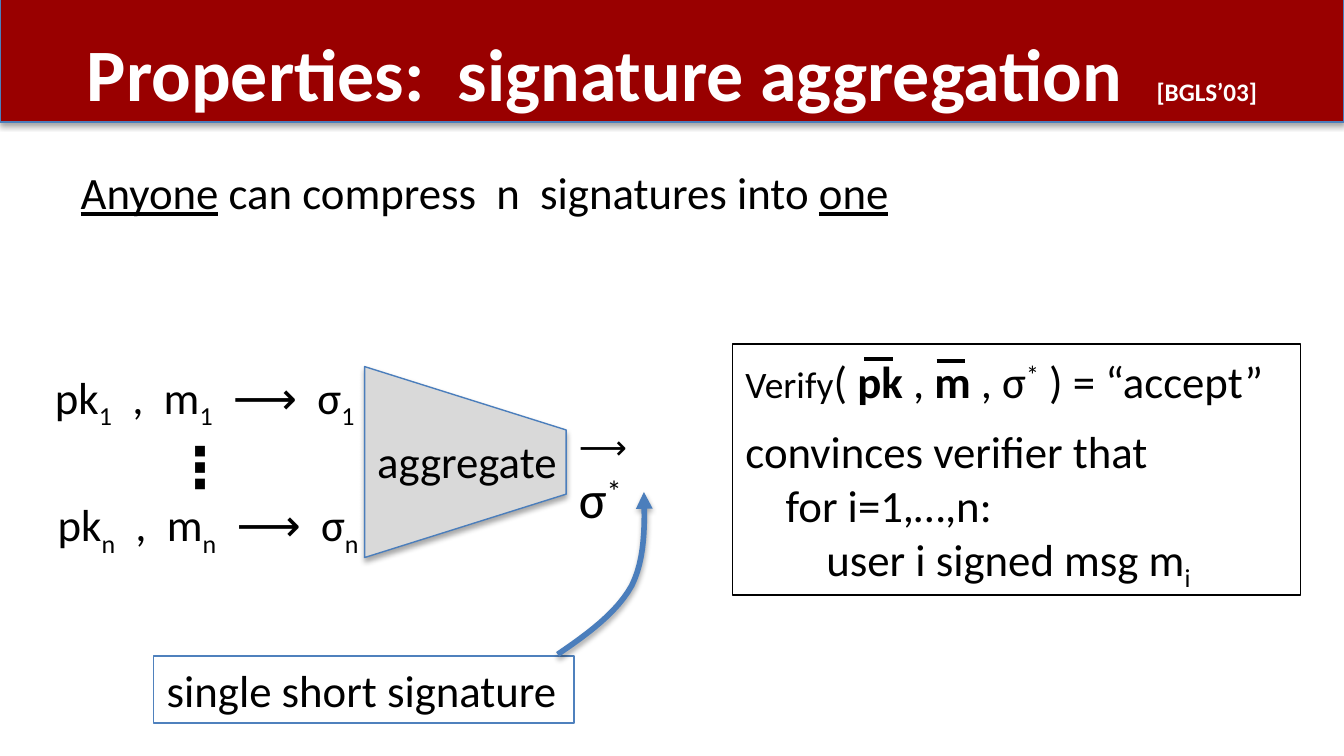
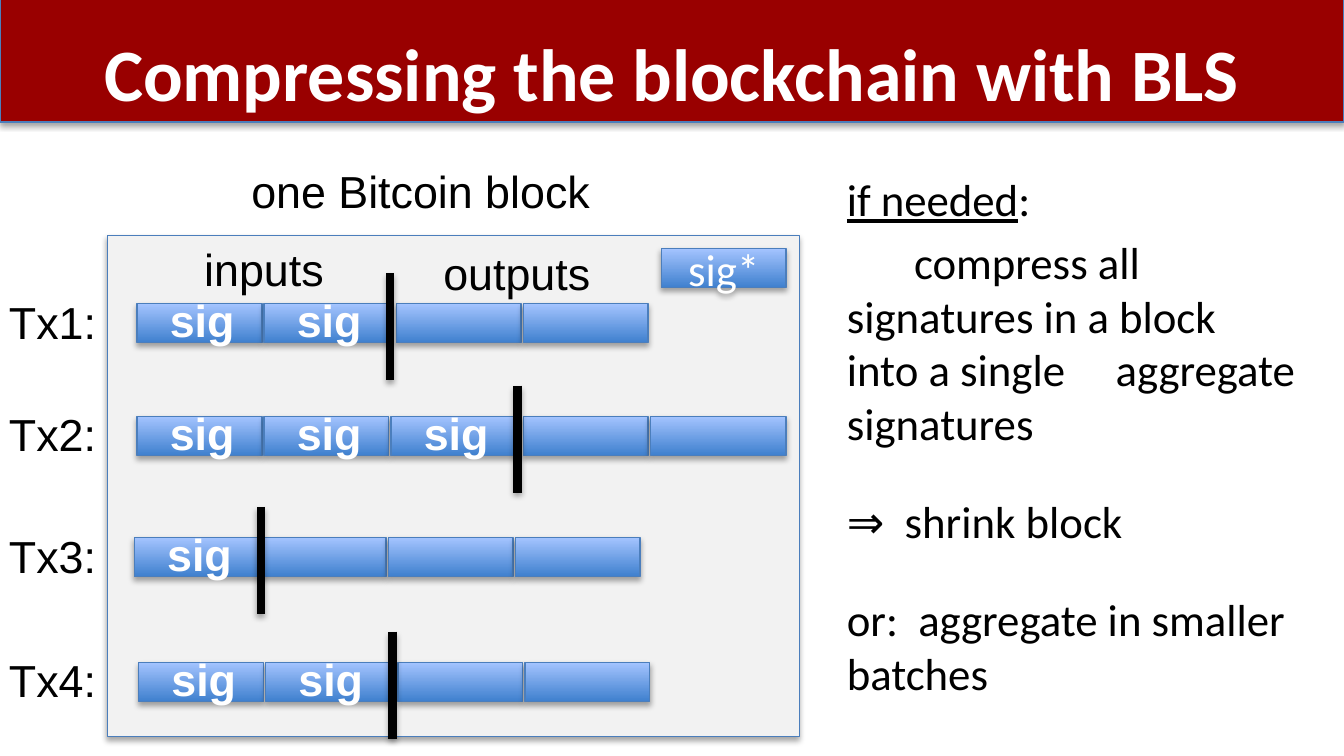
"""Build two slides on signature aggregation and blockchain compression."""
from lxml.etree import SubElement
from pptx import Presentation
from pptx.dml.color import RGBColor
from pptx.enum.shapes import MSO_CONNECTOR, MSO_SHAPE
from pptx.enum.text import MSO_ANCHOR, MSO_AUTO_SIZE as FIT, PP_ALIGN as ALIGN
from pptx.oxml.ns import qn
from pptx.util import Cm, Pt

COLORS = {
    "band": "990000", "edge": "4B7EBC", "note": "4F81BD", "funnel": "D9D9D9",
    "block": "F2F2F2", "cell_low": "3F80CE", "cell_high": "A4C4FF",
    "black": "000000", "white": "FFFFFF",
}
RGB = {name: RGBColor.from_string(value) for name, value in COLORS.items()}
PLAIN, BOLD, LINED = {}, {"bold": True}, {"underline": True}
SUB, SUPER = {"baseline": -25}, {"baseline": 30}


def write(frame, rows, size=24, face="Calibri", ink="black", wrap=False,
          align=ALIGN.LEFT, anchor=MSO_ANCHOR.TOP):
    frame.word_wrap = wrap
    frame.auto_size = FIT.NONE
    frame.vertical_anchor = anchor
    for number, (before, indent, spans) in enumerate(rows):
        para = frame.add_paragraph() if number else frame.paragraphs[0]
        layout = para._p.get_or_add_pPr()
        layout.set("marL", str(Cm(indent)))
        layout.set("indent", "0")
        SubElement(layout, qn("a:buNone"))
        para.alignment = align
        para.space_before = Pt(before)
        for text, style in spans:
            span = para.add_run()
            span.text = text
            span.font.name = style.get("face", face)
            span.font.size = Pt(style.get("size", size))
            span.font.bold = style.get("bold", False)
            span.font.underline = style.get("underline", False)
            span.font.color.rgb = RGB[ink]
            if "baseline" in style:
                span._r.get_or_add_rPr().set("baseline", str(style["baseline"] * 1000))


def finish(item, line="edge", points=0.75, fill=None, shadow=True):
    if fill == "cell":
        item.fill.gradient()
        item.fill.gradient_angle = 90
        for stop, name in zip(item.fill.gradient_stops, ("cell_low", "cell_high")):
            stop.color.rgb = RGB[name]
    elif fill == "none":
        item.fill.background()
    elif fill:
        item.fill.solid()
        item.fill.fore_color.rgb = RGB[fill]
    item.line.color.rgb = RGB[line]
    item.line.width = Pt(points)
    effects = SubElement(item.element.spPr, qn("a:effectLst"))
    if shadow:
        outer = SubElement(effects, qn("a:outerShdw"), blurRad=str(Pt(3.1)),
                           dist=str(Pt(1.8)), dir="5400000", rotWithShape="0")
        color = SubElement(outer, qn("a:srgbClr"), val=COLORS["black"])
        SubElement(color, qn("a:alpha"), val="35000")


deck = Presentation()
deck.slide_width, deck.slide_height = Cm(25.4), Cm(14.29)
master_layout = deck.slide_layouts[1]

contents = [
    ([("Properties:  signature aggregation  ", BOLD),
      ("[BGLS’03]", {"bold": True, "size": 13.5})],
     (1.27, 2.77, 18.26, 1.7), MSO_ANCHOR.MIDDLE,
     [(0, 0, [("Anyone", LINED), (" can compress  n  signatures into ", PLAIN),
              ("one", LINED)])]),
    ([("Compressing the blockchain with BLS", BOLD)],
     (15.75, 3.12, 9.35, 10.44), MSO_ANCHOR.TOP,
     [(0, 0, [("if needed", LINED), (":", PLAIN)]),
      (4.8, 0, [("\tcompress all \tsignatures in a block \tinto a single "
                 "\taggregate signatures", PLAIN)]),
      (23.8, 0, [("⇒  shrink block", PLAIN)]),
      (23.8, 0, [("or:  aggregate in smaller batches", PLAIN)])]),
]
pages = []
for heading, place, anchor, rows in contents:
    page = deck.slides.add_slide(master_layout)
    pages.append(page)
    title, body = page.placeholders
    title.left, title.top, title.width, title.height = Cm(1.27), Cm(0.4), Cm(22.86), Cm(1.73)
    write(title.text_frame, [(0, 0, heading)], 39.6, ink="white", align=ALIGN.CENTER)
    body.left, body.top, body.width, body.height = map(Cm, place)
    write(body.text_frame, rows, wrap=True, anchor=anchor)
aggregation, blockchain = pages

band = aggregation.shapes.add_shape(MSO_SHAPE.RECTANGLE, 0, Cm(-0.03), Cm(25.4), Cm(2.34))
finish(band, fill="band")
master_layout.shapes.element.insert(2, band.element)

funnel = aggregation.shapes.add_shape(
    MSO_SHAPE.TRAPEZOID, Cm(6.99), Cm(6.83), Cm(3.61), Cm(3.81))
funnel.rotation = 90
funnel.adjustments[0] = 0.332
finish(funnel, fill="funnel")

verify = aggregation.shapes.add_shape(
    MSO_SHAPE.RECTANGLE, Cm(13.84), Cm(6.5), Cm(10.74), Cm(4.75))
finish(verify, "black", fill="none", shadow=False)
verify.text_frame.margin_top = Cm(0.18)
write(verify.text_frame, [
    (0, 0, [("Verify", {"size": 20}), ("( ", PLAIN), ("pk", BOLD), (" , ", PLAIN),
            ("m", BOLD), (" , σ", PLAIN), ("*", SUPER), (" ) = “accept”", PLAIN)]),
    (9, 0, [("convinces verifier that", PLAIN)]),
    (0, 0.76, [("for i=1,…,n:", PLAIN)]),
    (0, 1.53, [("user i signed msg m", PLAIN), ("i", SUB)]),
])
for left, top in ((16.33, 6.78), (17.7, 6.83)):
    overline = aggregation.shapes.add_connector(
        MSO_CONNECTOR.STRAIGHT, Cm(left), Cm(top), Cm(left + 0.54), Cm(top))
    finish(overline, "black", 2, shadow=False)

note = aggregation.shapes.add_shape(
    MSO_SHAPE.RECTANGLE, Cm(2.9), Cm(12.4), Cm(7.95), Cm(1.27))
finish(note, "note", fill="none", shadow=False)
write(note.text_frame, [(0, 0, [("single short signature", PLAIN)])])

bends = [
    ((10.54, 12.37), (11.1, 11.99), (11.66, 11.58), (11.94, 11.07)),
    ((11.94, 11.07), (12.19, 10.57), (12.19, 9.93), (12.17, 9.3)),
]
curve = []
for bend in bends:
    for step in range(1, 13):
        t = step / 12
        weights = ((1 - t) ** 3, 3 * t * (1 - t) ** 2, 3 * t * t * (1 - t), t ** 3)
        curve.append(tuple(Cm(sum(w * point[axis] for w, point in zip(weights, bend)))
                           for axis in (0, 1)))
outline = aggregation.shapes.build_freeform(Cm(10.54), Cm(12.37))
outline.add_line_segments(curve, close=False)
arrow = outline.convert_to_shape()
finish(arrow, points=3, fill="none")
SubElement(arrow.element.spPr.find(qn("a:ln")), qn("a:tailEnd"), type="triangle")

block = blockchain.shapes.add_shape(
    MSO_SHAPE.RECTANGLE, Cm(2.03), Cm(4.45), Cm(13.08), Cm(9.47))
finish(block, fill="block")

labels = [
    (aggregation, 3.02, 8.03, 0.94, 1.55, "Arial", 30, "black", [("⋮", BOLD)]),
    (aggregation, 6.88, 8.08, 3.94, 1.27, "Calibri", 24, "black", [("aggregate", PLAIN)]),
    (blockchain, 3.61, 4.45, 2.79, 1.27, "Arial", 24, "black", [("inputs", PLAIN)]),
    (blockchain, 8.13, 4.52, 3.33, 1.27, "Arial", 24, "black", [("outputs", PLAIN)]),
    (blockchain, 4.5, 2.97, 6.99, 1.27, "Arial", 24, "black", [("one Bitcoin block", PLAIN)]),
]
for index, left, top in (("1", 0.79, 6.86), ("n", 0.84, 9.27)):
    signing = [("pk", PLAIN), (index, SUB), ("  ,  m", PLAIN), (index, SUB),
               ("  ⟶  σ", PLAIN), (index, SUB)]
    labels.append((aggregation, left, top, 7.27, 1.27, "Calibri", 24, "black", signing))

cell_width, cell_height, pitch = 2.36, 0.74, 2.4
transactions = [
    ("Tx1:", 2.59, 5.74, 2, 4, 0.1, 7.37),
    ("Tx2:", 2.59, 7.87, 3, 5, 0.1, 9.78),
    ("Tx3:", 2.54, 10.16, 1, 4, 0, 4.93),
    ("Tx4:", 2.62, 12.52, 2, 4, 0.1, 7.42),
]
for name, start, top, inputs, cells, gap, divider_left in transactions:
    labels.append((blockchain, -0.08, top - 0.3, 2.18, 1.27, "Arial", 24, "black",
                   [(name, PLAIN)]))
    for slot in range(cells):
        left = start + slot * pitch + (gap if slot >= inputs else 0)
        width = 2.57 if slot == 4 else cell_width
        cell = blockchain.shapes.add_shape(
            MSO_SHAPE.RECTANGLE, Cm(left), Cm(top), Cm(width), Cm(cell_height))
        finish(cell, fill="cell")
        if slot < inputs:
            labels.append((blockchain, left + 0.37, top - 0.33, 1.75, 1.27, "Arial", 24,
                           "white", [("sig", BOLD)]))
    divider = blockchain.shapes.add_connector(
        MSO_CONNECTOR.STRAIGHT, Cm(divider_left), Cm(top - 0.58),
        Cm(divider_left), Cm(top + 1.44))
    finish(divider, "black", 4.5)

combined = blockchain.shapes.add_shape(
    MSO_SHAPE.RECTANGLE, Cm(12.5), Cm(4.7), Cm(cell_width), Cm(cell_height))
finish(combined, fill="cell")
write(combined.text_frame, [(0, 0, [("sig*", PLAIN)])], ink="white", wrap=True,
      align=ALIGN.CENTER, anchor=MSO_ANCHOR.MIDDLE)

for page, left, top, width, height, face, size, ink, spans in labels:
    box = page.shapes.add_textbox(Cm(left), Cm(top), Cm(width), Cm(height))
    write(box.text_frame, [(0, 0, spans)], size, face, ink)
    box.text_frame.auto_size = FIT.SHAPE_TO_FIT_TEXT

result = aggregation.shapes.add_textbox(Cm(10.69), Cm(7.92), Cm(2.31), Cm(1.45))
write(result.text_frame, [(0, 0, [("⟶ ", {"face": "Arial", "size": 18}), ("σ", PLAIN),
                                  ("*", SUPER)])], 28, wrap=True)

deck.save("out.pptx")
